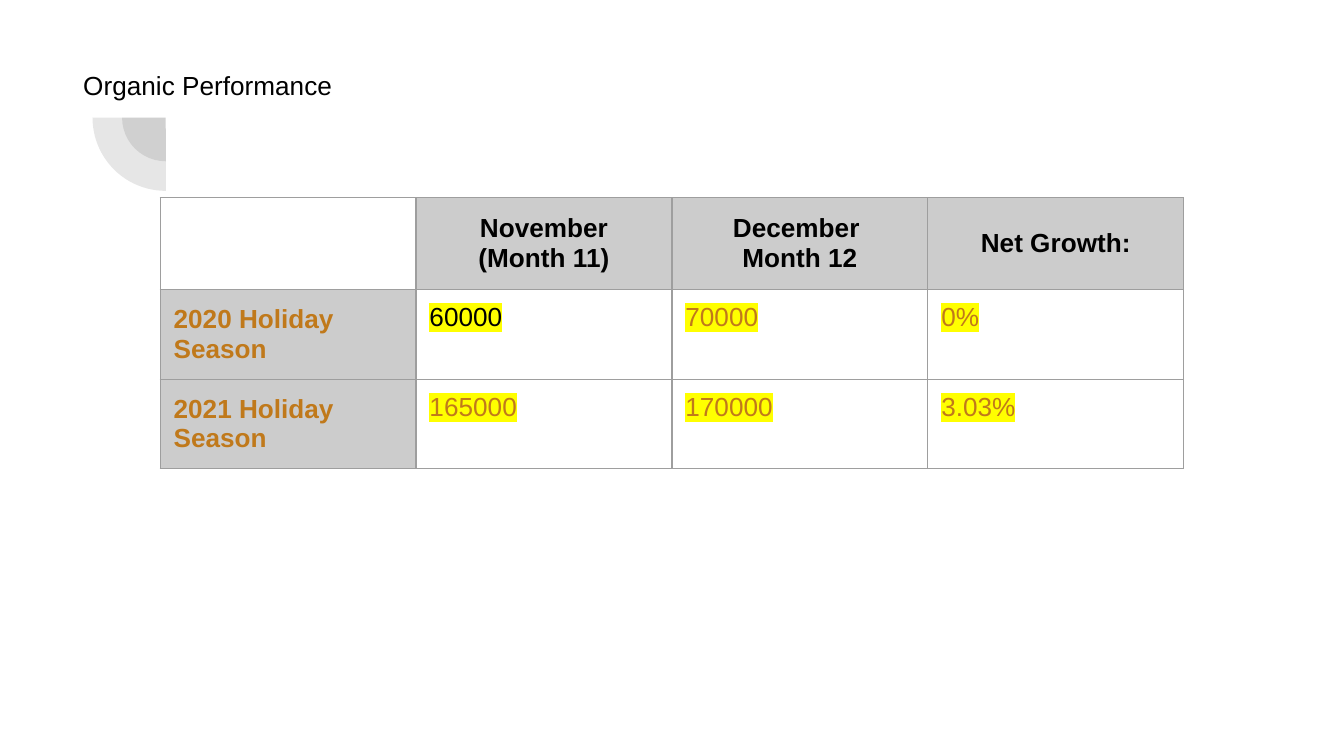
from lxml import etree
from pptx import Presentation
from pptx import util as u
from pptx.dml.color import RGBColor
from pptx.enum import shapes, text
from pptx.oxml.ns import qn

COLORS = {
    "text": "000000",
    "accent": "C0791B",
    "header": "CCCCCC",
    "border": "9E9E9E",
    "highlight": "FFFF00",
    "pie": "424242",
}
MARGINS = ("margin_left", "margin_right", "margin_top", "margin_bottom")


class Deck:
    font = {"name": "Arial", "size": u.Pt(14)}
    inset = u.Pt(7.2)

    def __init__(self, width, height):
        self.prs = Presentation()
        self.prs.slide_width, self.prs.slide_height = u.Pt(width), u.Pt(height)
        self.s = self.prs.slides.add_slide(self.prs.slide_layouts[5])

    def apply(self, target, values):
        for name, value in values.items():
            setattr(target, name, value)

    def color_xml(self, parent, tag, color):
        el = etree.SubElement(parent, qn(tag))
        etree.SubElement(el, qn("a:srgbClr"), val=COLORS[color])
        return el

    def add_lines(self, tf, lines, color="text", bold=False, highlight=None,
                  align=text.PP_ALIGN.LEFT):
        for i, line in enumerate(lines):
            p = tf.add_paragraph() if i else tf.paragraphs[0]
            p.alignment = align
            r = p.add_run()
            r.text = line
            self.apply(r.font, {**self.font, "bold": bold})
            r.font.color.rgb = RGBColor.from_string(COLORS[color])
            if highlight:
                rPr = r._r.get_or_add_rPr()
                mark = self.color_xml(rPr, "a:highlight", highlight)
                rPr.find(qn("a:solidFill")).addnext(mark)

    def title(self, line, left, top, width, height):
        sp = self.s.shapes.title
        self.apply(sp, {"left": u.Pt(left), "top": u.Pt(top),
                        "width": u.Pt(width), "height": u.Pt(height)})
        tf = sp.text_frame
        self.apply(tf, {**dict.fromkeys(MARGINS, self.inset),
                        "word_wrap": True,
                        "vertical_anchor": text.MSO_ANCHOR.TOP,
                        "auto_size": text.MSO_AUTO_SIZE.SHAPE_TO_FIT_TEXT})
        self.add_lines(tf, [line])

    def quarter(self, cx, cy, size, alpha):
        sp = self.s.shapes.add_shape(
            shapes.MSO_SHAPE.PIE, u.Pt(cx - size / 2), u.Pt(cy - size / 2),
            u.Pt(size), u.Pt(size))
        sp.adjustments[0], sp.adjustments[1] = 107.93, 162
        sp.rotation = 270
        sp.shadow.inherit = False
        sp.line.fill.background()
        sp.fill.solid()
        sp.fill.fore_color.rgb = RGBColor.from_string(COLORS["pie"])
        clr = sp._element.spPr.find(qn("a:solidFill")).find(qn("a:srgbClr"))
        etree.SubElement(clr, qn("a:alpha"), val=str(alpha * 1000))

    def cell(self, cell, lines, fill=None, middle=False, **style):
        anchor = text.MSO_ANCHOR.MIDDLE if middle else text.MSO_ANCHOR.TOP
        self.apply(cell, {**dict.fromkeys(MARGINS, self.inset),
                          "vertical_anchor": anchor})
        tcPr = cell._tc.get_or_add_tcPr()
        for side in "LRTB":
            ln = etree.SubElement(tcPr, qn(f"a:ln{side}"), w=str(u.Pt(0.75)))
            self.color_xml(ln, "a:solidFill", "border")
        if fill:
            cell.fill.solid()
            cell.fill.fore_color.rgb = RGBColor.from_string(COLORS[fill])
        else:
            cell.fill.background()
        self.add_lines(cell.text_frame, lines, **style)

    def table(self, left, top, col_width, heights, rows):
        cols = len(rows[0])
        tbl = self.s.shapes.add_table(
            len(rows), cols, u.Pt(left), u.Pt(top),
            u.Pt(col_width * cols), u.Pt(sum(heights))).table
        self.apply(tbl, {"first_row": False, "horz_banding": False})
        for col in tbl.columns:
            col.width = u.Pt(col_width)
        for row, height in zip(tbl.rows, heights):
            row.height = u.Pt(height)
        for i, row in enumerate(rows):
            for j, value in enumerate(row):
                if not value:
                    style = {}
                elif i == 0:
                    style = {"fill": "header", "middle": True, "bold": True,
                             "align": text.PP_ALIGN.CENTER}
                elif j == 0:
                    style = {"fill": "header", "middle": True, "bold": True,
                             "color": "accent"}
                else:
                    first = (i, j) == (1, 1)
                    style = {"color": "text" if first else "accent",
                             "highlight": "highlight"}
                lines = value.split("\n") if value else []
                self.cell(tbl.cell(i, j), lines, **style)


def main():
    deck = Deck(720, 405)

    # Title
    deck.title("Organic Performance", 37.4, 30.2, 374.4, 31.7)

    # Corner ornament: two concentric quarter circles
    for size in (46.8, 78.5):
        deck.quarter(88.8, 63, size, alpha=13)

    # Holiday season figures
    deck.table(85.8, 105.9, 137.1, (49.2, 48, 48), [
        ["", "November\n(Month 11)", "December \nMonth 12", "Net Growth:"],
        ["2020 Holiday Season", "60000", "70000", "0%"],
        ["2021 Holiday Season", "165000", "170000", "3.03%"],
    ])

    deck.prs.save("out.pptx")


if __name__ == "__main__":
    main()
